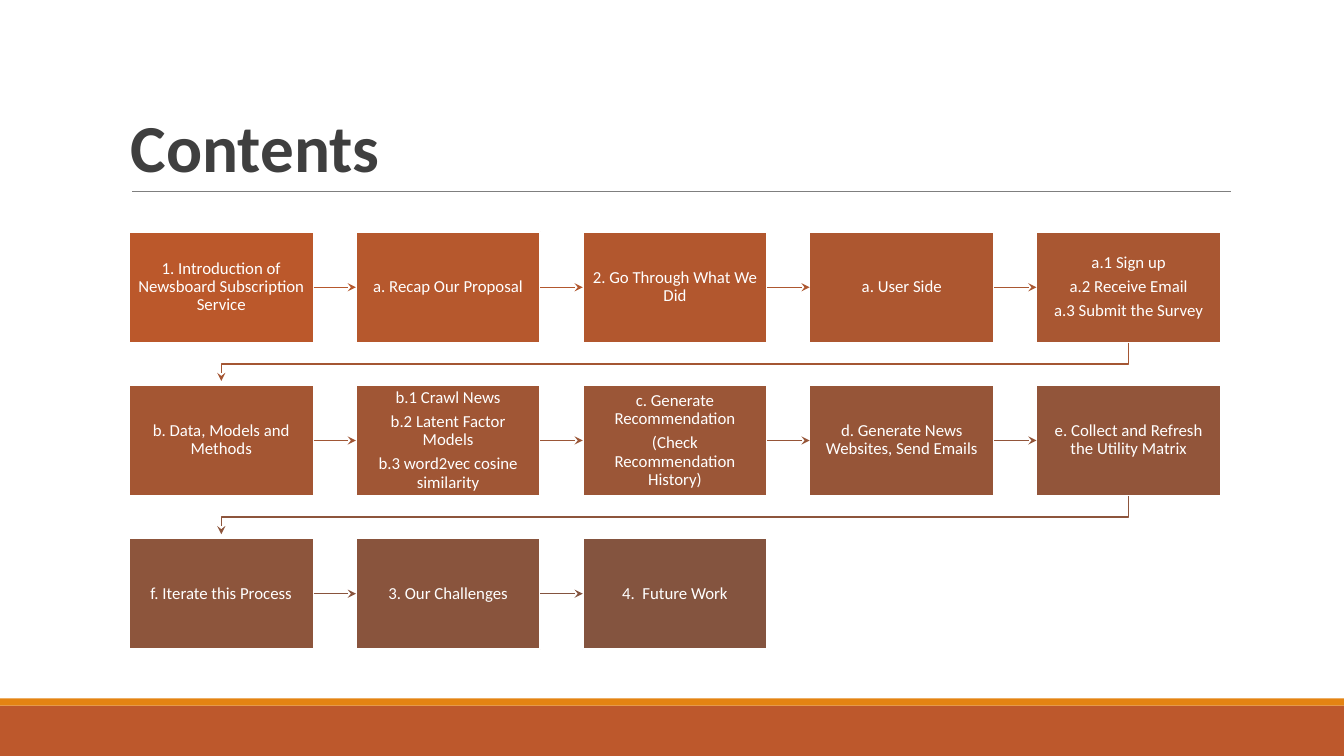
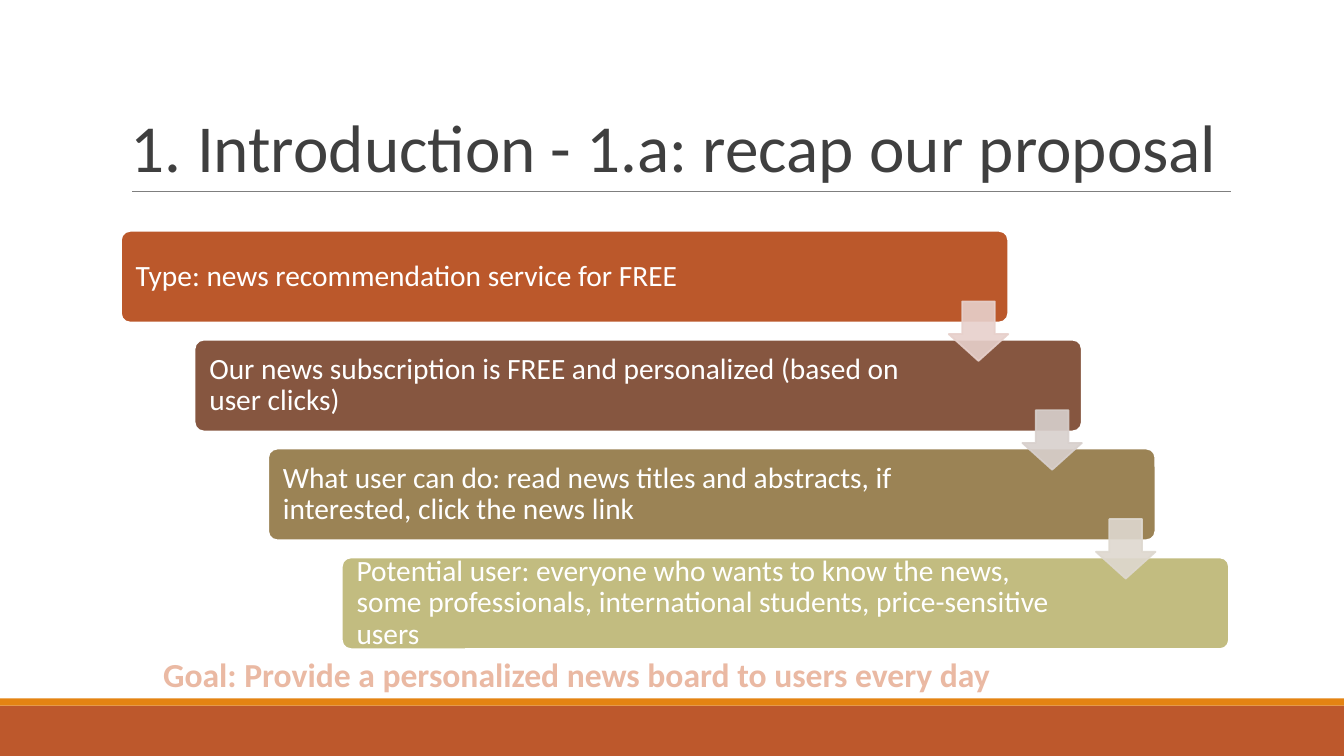
from lxml import etree
from pptx import Presentation
from pptx.dml.color import RGBColor
from pptx.enum import shapes, text
from pptx.oxml import ns
from pptx.util import Inches, Pt

FONT = "Calibri"
WHITE = RGBColor(0xFF, 0xFF, 0xFF)
RUST = RGBColor(0xBD, 0x58, 0x2C)
ORANGE = RGBColor(0xE4, 0x83, 0x12)
GRAY = RGBColor(0x7F, 0x7F, 0x7F)
DARK = RGBColor(0x3F, 0x3F, 0x3F)
PEACH = RGBColor(0xEA, 0xB9, 0xA3)
FLOW_START = RGBColor(0xBB, 0x58, 0x2B)
FLOW_END = RGBColor(0x84, 0x54, 0x3F)

# Content: each step is a list of paragraphs
STEPS = [
    ["1. Introduction of Newsboard Subscription Service"],
    ["a. Recap Our Proposal"],
    ["2. Go Through What We Did"],
    ["a. User Side"],
    ["a.1 Sign up", "a.2 Receive Email", "a.3 Submit the Survey"],
    ["b. Data, Models and Methods"],
    ["b.1 Crawl News", "b.2 Latent Factor Models", "b.3 word2vec cosine similarity"],
    ["c. Generate Recommendation", "(Check Recommendation History)"],
    ["d. Generate News Websites, Send Emails"],
    ["e. Collect and Refresh the Utility Matrix"],
    ["f. Iterate this Process"],
    ["3. Our Challenges"],
    ["4.  Future Work"],
]
PROPOSAL = [
    ("Type: news recommendation service for FREE", FLOW_START),
    ("Our news subscription is FREE and personalized (based on user clicks)",
     RGBColor(0x86, 0x56, 0x40)),
    ("What user can do: read news titles and abstracts, if interested, "
     "click the news link", RGBColor(0x9B, 0x83, 0x55)),
    ("Potential user: everyone who wants to know the news, some professionals, "
     "international students, price-sensitive users", RGBColor(0xC2, 0xBC, 0x80)),
]
ARROW_COLORS = [RGBColor(0xE7, 0xD0, 0xCB), RGBColor(0xD8, 0xD0, 0xCD),
                RGBColor(0xDE, 0xD8, 0xCF)]
GOAL = "Goal: Provide a personalized news board to users every day"

# Contents grid and proposal staircase, in inches
COLUMNS = 5
GRID_LEFT, GRID_TOP, COLUMN_STEP, ROW_STEP = 1.28, 2.3, 2.25, 1.52
BOX_WIDTH, BOX_HEIGHT = 1.83, 1.1
BAR_LEFT, BAR_TOP, BAR_STEP_X, BAR_STEP_Y = 1.2, 2.29, 0.73, 1.08
BAR_WIDTH, BAR_HEIGHT = 8.8, 0.91
ARROW_SIZE, ARROW_DROP = 0.59, 0.7


def write(shape, paragraphs, size, color, bold=False, align=text.PP_ALIGN.LEFT,
          anchor=text.MSO_ANCHOR.MIDDLE, spacing=0.9, gap=4.2,
          insets=(0.09, 0.09, 0.09, 0.09)):
    frame = shape.text_frame
    frame.word_wrap = True
    frame.vertical_anchor = anchor
    (frame.margin_left, frame.margin_top,
     frame.margin_right, frame.margin_bottom) = map(Inches, insets)
    for index, content in enumerate(paragraphs):
        paragraph = frame.add_paragraph() if index else frame.paragraphs[0]
        paragraph.alignment = align
        paragraph.line_spacing = spacing
        paragraph.space_before = Pt(gap if index else 0)
        run = paragraph.add_run()
        run.text = content
        font = run.font
        font.name, font.size, font.bold = FONT, Pt(size), bold
        font.color.rgb = color


def add_box(slide, kind, left, top, width, height, fill, outline=None):
    shape = slide.shapes.add_shape(kind, *map(Inches, (left, top, width, height)))
    shape.shadow.inherit = False
    shape.fill.solid()
    shape.fill.fore_color.rgb = fill
    if outline is None:
        shape.line.fill.background()
    else:
        shape.line.color.rgb = outline
        shape.line.width = Pt(1.25)
    return shape


def add_textbox(slide, left, top, width, height):
    return slide.shapes.add_textbox(*map(Inches, (left, top, width, height)))


def add_line(slide, start, end, color, width):
    line = slide.shapes.add_connector(
        shapes.MSO_CONNECTOR.STRAIGHT, *map(Inches, start + end))
    line.line.color.rgb = color
    line.line.width = Pt(width)
    etree.SubElement(line._element.spPr, ns.qn("a:effectLst"))
    return line


def add_arrowhead(line):
    tail = etree.SubElement(line.line._get_or_add_ln(), ns.qn("a:tailEnd"))
    tail.set("type", "stealth")


def make_translucent(shape, percent):
    for color in shape._element.spPr.iter(ns.qn("a:srgbClr")):
        etree.SubElement(color, ns.qn("a:alpha")).set("val", str(percent * 1000))


def blend(share):
    return RGBColor(*(round(a + (b - a) * share)
                      for a, b in zip(FLOW_START, FLOW_END)))


def add_slide(presentation, title, bold=False):
    """Blank slide with the shared bands, rule and title."""
    slide = presentation.slides.add_slide(presentation.slide_layouts[6])
    rectangle = shapes.MSO_SHAPE.RECTANGLE
    add_box(slide, rectangle, 0, 7, 13.33, 0.5, RUST)
    add_box(slide, rectangle, 0, 6.93, 13.33, 0.07, ORANGE)
    add_line(slide, (1.31, 1.9), (12.21, 1.9), GRAY, 0.75)
    write(add_textbox(slide, 1.2, 0.31, 11, 1.59), [title], 48, DARK, bold=bold,
          anchor=text.MSO_ANCHOR.BOTTOM, spacing=0.85, insets=(0.1, 0.05, 0, 0.05))
    return slide


def add_return_arrow(slide, start, end, color):
    """Bent arrow from the end of one row to the start of the next."""
    middle = (start[1] + end[1]) / 2
    points = [start, (start[0], middle), (end[0], middle), (end[0], end[1] - 0.04)]
    points = [(Inches(x), Inches(y)) for x, y in points]
    builder = slide.shapes.build_freeform(*points[0])
    builder.add_line_segments(points[1:], close=False)
    arrow = builder.convert_to_shape()
    arrow.shadow.inherit = False
    arrow.fill.background()
    arrow.line.color.rgb = color
    arrow.line.width = Pt(1)
    add_arrowhead(arrow)


def build_contents(presentation):
    slide = add_slide(presentation, "Contents", bold=True)
    previous = None
    for index, paragraphs in enumerate(STEPS):
        row, column = divmod(index, COLUMNS)
        left = GRID_LEFT + column * COLUMN_STEP
        top = GRID_TOP + row * ROW_STEP
        color = blend(index / (len(STEPS) - 1))
        box = add_box(slide, shapes.MSO_SHAPE.RECTANGLE, left, top,
                      BOX_WIDTH, BOX_HEIGHT, color, WHITE)
        write(box, paragraphs, 12, WHITE, align=text.PP_ALIGN.CENTER)
        if column:
            middle = top + BOX_HEIGHT / 2
            arrow = add_line(slide, (left - COLUMN_STEP + BOX_WIDTH, middle),
                             (left, middle), color, 1)
            arrow.begin_connect(previous, 3)
            arrow.end_connect(box, 1)
            add_arrowhead(arrow)
        elif row:
            center = left + BOX_WIDTH / 2
            add_return_arrow(
                slide, (center + (COLUMNS - 1) * COLUMN_STEP,
                        top - ROW_STEP + BOX_HEIGHT), (center, top), color)
        previous = box


def build_proposal(presentation):
    slide = add_slide(presentation, "1. Introduction - 1.a: recap our proposal")
    # Staircase of bars
    for index, (content, color) in enumerate(PROPOSAL):
        bar = add_box(slide, shapes.MSO_SHAPE.ROUNDED_RECTANGLE,
                      BAR_LEFT + index * BAR_STEP_X, BAR_TOP + index * BAR_STEP_Y,
                      BAR_WIDTH, BAR_HEIGHT, color, WHITE)
        bar.adjustments[0] = 0.1
        write(bar, [content], 21, WHITE, insets=(0.12, 0.09, 1.45, 0.09))
    # Arrows end flush with the right side of the upper bar
    for index, color in enumerate(ARROW_COLORS):
        arrow = add_box(slide, shapes.MSO_SHAPE.DOWN_ARROW,
                        BAR_LEFT + BAR_WIDTH - ARROW_SIZE + index * BAR_STEP_X,
                        BAR_TOP + ARROW_DROP + index * BAR_STEP_Y,
                        ARROW_SIZE, ARROW_SIZE, color, color)
        arrow.adjustments[0], arrow.adjustments[1] = 0.55, 0.45
        make_translucent(arrow, 90)
    write(add_textbox(slide, 1.52, 6.44, 8.52, 0.5), [GOAL], 24, PEACH, bold=True,
          anchor=text.MSO_ANCHOR.TOP, spacing=1.0, insets=(0.1, 0.05, 0.1, 0.05))


def main():
    presentation = Presentation()
    presentation.slide_width = Inches(13.33)
    presentation.slide_height = Inches(7.5)
    build_contents(presentation)
    build_proposal(presentation)
    presentation.save("out.pptx")


if __name__ == "__main__":
    main()
